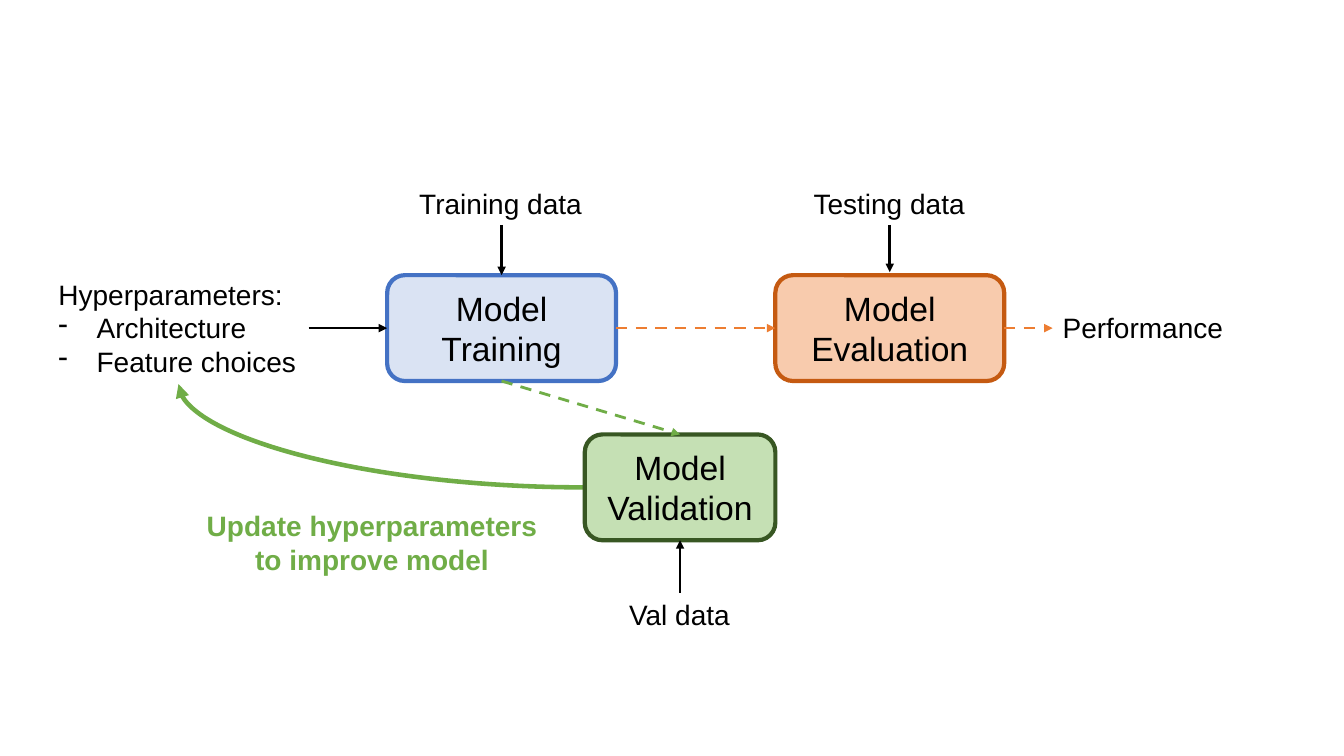
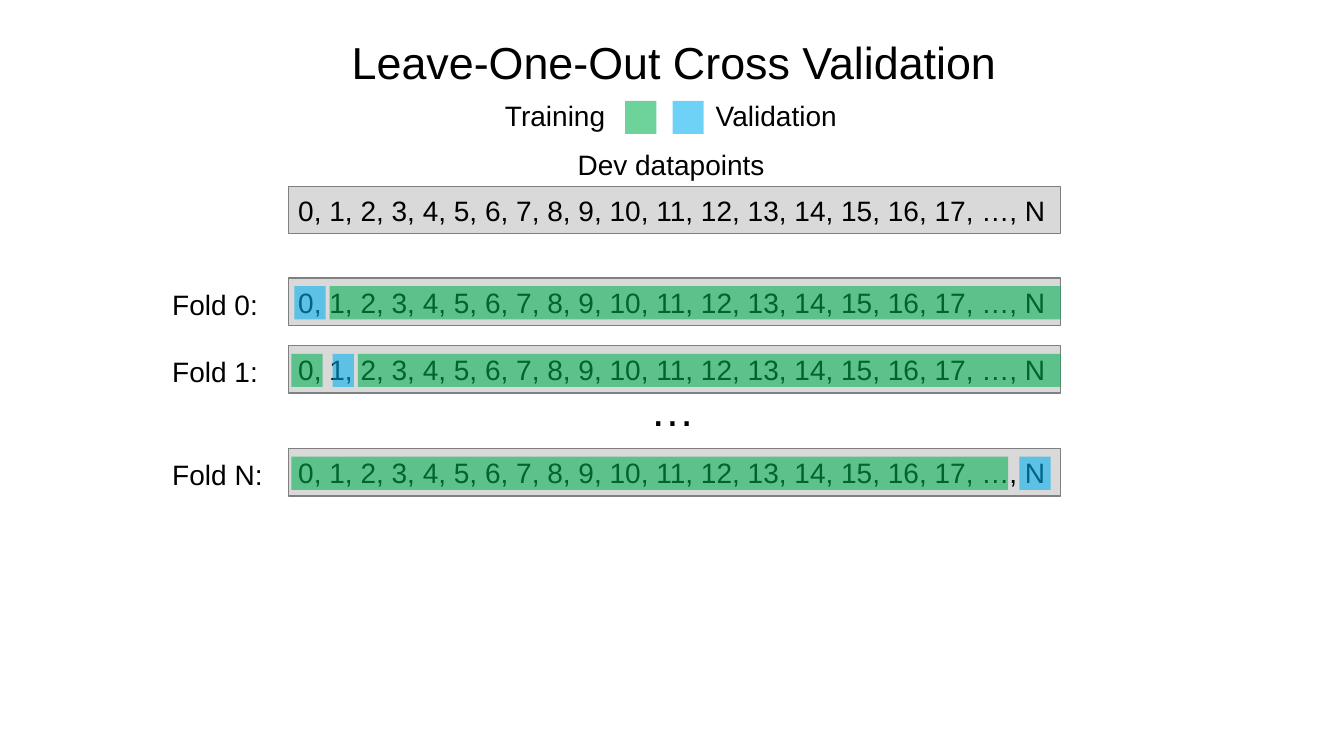
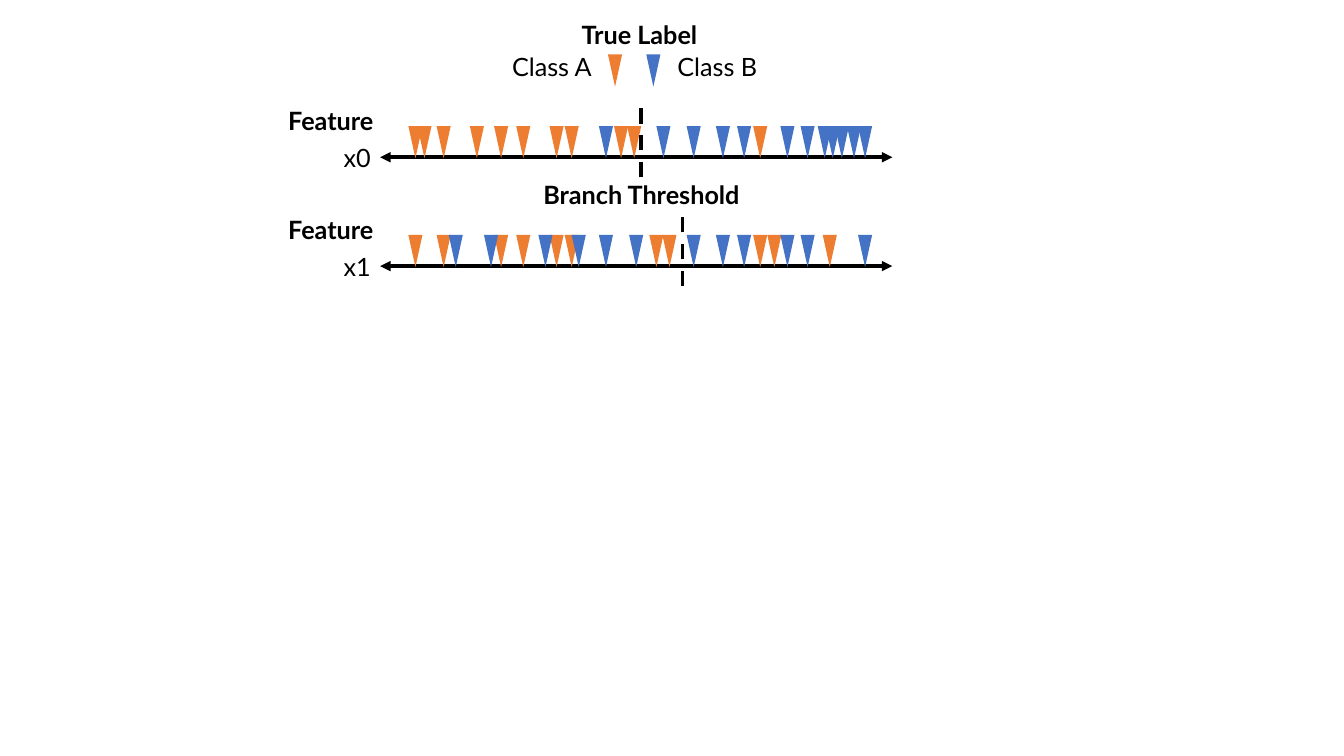
import dataclasses

import pptx
import pptx.dml.color
import pptx.enum.dml
import pptx.enum.shapes
import pptx.enum.text
import pptx.oxml.ns
import pptx.util
from lxml import etree

Inches = pptx.util.Inches
SHAPES = pptx.enum.shapes.MSO_SHAPE
CONNECTORS = pptx.enum.shapes.MSO_CONNECTOR
ALIGN = pptx.enum.text.PP_ALIGN


@dataclasses.dataclass(frozen=True)
class Theme:
    """Colours, fonts and type sizes of the deck."""
    font: str = "Arial"
    axis_font: str = "Lato"
    title_size: int = 32
    model_size: int = 24
    body_size: int = 20
    axis_size: int = 18
    black: str = "000000"
    orange: str = "ED7D31"
    blue: str = "4472C4"
    green: str = "70AD47"
    pale_blue: str = "DAE3F3"
    pale_orange: str = "F8CBAD"
    pale_green: str = "C5E0B4"
    dark_orange: str = "C55A11"
    dark_green: str = "385723"
    bar: str = "D9D9D9"
    bar_edge: str = "808080"
    training: str = "00B050"
    validation: str = "00B0F0"
    overlay_alpha: int = 57


THEME = Theme()


@dataclasses.dataclass(frozen=True)
class Box:
    """A rectangle in inches."""
    left: float
    top: float
    width: float
    height: float

    @property
    def right(self):
        """Return the right edge."""
        return self.left + self.width

    @property
    def bottom(self):
        """Return the bottom edge."""
        return self.top + self.height

    @property
    def center(self):
        """Return the horizontal centre."""
        return self.left + self.width / 2

    @property
    def middle(self):
        """Return the vertical centre."""
        return self.top + self.height / 2

    def place(self, left, top, width, height):
        """Return a box placed relative to this one."""
        return Box(self.left + left, self.top + top, width, height)

    def lengths(self):
        """Return the four measures as lengths."""
        return [Inches(value) for value in dataclasses.astuple(self)]


def rgb(color):
    """Return a colour object."""
    return pptx.dml.color.RGBColor.from_string(color)


def add_element(parent, tag, **attributes):
    """Append a drawing element."""
    return etree.SubElement(parent, pptx.oxml.ns.qn(tag), attributes)


def style_text(frame, size, color=THEME.black, font=THEME.font, bold=False, align=ALIGN.LEFT):
    """Format every run of a text frame."""
    for para in frame.paragraphs:
        para.alignment = align
        for span in para.runs:
            span.font.name = font
            span.font.size = pptx.util.Pt(size)
            span.font.bold = bold
            span.font.color.rgb = rgb(color)


def add_text(page, box, text, size=THEME.body_size, wrap=False, **style):
    """Add a text box that fits its text."""
    frame = page.shapes.add_textbox(*box.lengths()).text_frame
    frame.text = text
    frame.word_wrap = wrap
    frame.auto_size = pptx.enum.text.MSO_AUTO_SIZE.SHAPE_TO_FIT_TEXT
    style_text(frame, size, **style)
    return frame


def add_shape(page, kind, box, fill, edge=None, weight=1, alpha=None):
    """Add a filled shape, outlined or translucent if asked."""
    shape = page.shapes.add_shape(kind, *box.lengths())
    shape.shadow.inherit = False
    shape.fill.solid()
    shape.fill.fore_color.rgb = rgb(fill)
    if alpha:
        color = next(shape._element.spPr.iter(pptx.oxml.ns.qn("a:srgbClr")))
        add_element(color, "a:alpha", val=str(alpha * 1000))
    if edge:
        shape.line.color.rgb = rgb(edge)
        shape.line.width = pptx.util.Pt(weight)
    else:
        shape.line.fill.background()
    return shape


def add_line(page, start, end, color=THEME.black, weight=2, dashed=False,
             head=False, tail=True, kind=CONNECTORS.STRAIGHT):
    """Add a connector with optional arrowheads."""
    line = page.shapes.add_connector(kind, *(Inches(value) for value in (*start, *end)))
    line.line.color.rgb = rgb(color)
    line.line.width = pptx.util.Pt(weight)
    if dashed:
        line.line.dash_style = pptx.enum.dml.MSO_LINE.DASH
    properties = line._element.spPr
    outline = properties.find(pptx.oxml.ns.qn("a:ln"))
    for wanted, tag in ((head, "a:headEnd"), (tail, "a:tailEnd")):
        if wanted:
            add_element(outline, tag, type="triangle")
    add_element(properties, "a:effectLst")
    return line


def add_model(page, box, text, fill, edge):
    """Add a rounded model step."""
    shape = add_shape(page, SHAPES.ROUNDED_RECTANGLE, box, fill, edge, 3)
    frame = shape.text_frame
    frame.text = text
    frame.word_wrap = True
    frame.vertical_anchor = pptx.enum.text.MSO_ANCHOR.MIDDLE
    style_text(frame, THEME.model_size, align=ALIGN.CENTER)


def add_data_input(page, model, text, width, below=False, gap=0):
    """Add a data label above or below a model, with its arrow."""
    left = (model.width - width) / 2
    top = model.height + 0.52 if below else -0.93
    add_text(page, model.place(left, top, width, 0.44), text)
    if below:
        start, end = model.bottom + 0.52, model.bottom
    else:
        start, end = model.top - 0.5, model.top - gap
    add_line(page, (model.center, start), (model.center, end))


def add_hyperparameters(page, box):
    """Add the hyperparameter heading and its dashed list."""
    frame = add_text(page, box, "Hyperparameters:\nArchitecture\nFeature choices")
    for para in frame.paragraphs[1:]:
        properties = para._p.get_or_add_pPr()
        properties.set("marL", str(Inches(0.38)))
        properties.set("indent", str(-Inches(0.38)))
        add_element(properties, "a:buFontTx")
        add_element(properties, "a:buChar", char="-")


def add_feedback(page, start, end):
    """Add the curved arrow back to the hyperparameters."""
    curve = add_line(page, end, start, THEME.green, 3.25, kind=CONNECTORS.CURVE)
    properties = curve._element.spPr
    properties.find(pptx.oxml.ns.qn("a:prstGeom")).set("prst", "curvedConnector2")
    frame = properties.find(pptx.oxml.ns.qn("a:xfrm"))
    frame.attrib.pop("flipV", None)
    frame.set("rot", "10800000")


def draw_pipeline(page, area):
    """Draw the training, validation and evaluation loop."""
    training = area.place(3.36, 0.93, 2.27, 1.05)
    evaluation = area.place(7.21, 0.93, 2.27, 1.05)
    validation = area.place(5.32, 2.51, 1.89, 1.05)
    settings = area.place(0, 0.9, 2.58, 1.11)
    result = area.place(9.96, 1.23, 1.81, 0.44)
    add_model(page, training, "Model Training", THEME.pale_blue, THEME.blue)
    add_model(page, evaluation, "Model Evaluation", THEME.pale_orange, THEME.dark_orange)
    add_hyperparameters(page, settings)
    add_text(page, result, "Performance")
    add_data_input(page, training, "Training data", 1.83)
    add_data_input(page, evaluation, "Testing data", 1.71, gap=0.03)
    add_line(page, (settings.right, training.middle), (training.left, training.middle))
    for source, target in ((training, evaluation), (evaluation, result)):
        add_line(page, (source.right, training.middle), (target.left, training.middle),
                 THEME.orange, dashed=True)
    add_feedback(page, (validation.left, validation.middle), (settings.center, settings.bottom))
    add_text(page, area.place(1.4, 3.2, 3.62, 0.77), "Update hyperparameters to improve model",
             wrap=True, color=THEME.green, bold=True, align=ALIGN.CENTER)
    add_model(page, validation, "Model Validation", THEME.pale_green, THEME.dark_green)
    add_line(page, (training.center, training.bottom), (validation.center, validation.top),
             THEME.green, dashed=True)
    add_data_input(page, validation, "Val data", 1.21, below=True)


def add_overlay(page, box, color):
    """Add a translucent highlight."""
    add_shape(page, SHAPES.RECTANGLE, box, color, alpha=THEME.overlay_alpha)


def add_datapoints(page, box):
    """Add the grey bar of numbered datapoints."""
    frame = add_shape(page, SHAPES.RECTANGLE, box, THEME.bar, THEME.bar_edge).text_frame
    frame.text = ", ".join([*map(str, range(18)), "…", "N"])
    frame.word_wrap = True
    frame.vertical_anchor = pptx.enum.text.MSO_ANCHOR.MIDDLE
    style_text(frame, THEME.body_size)


def add_fold(page, bar, name, label_width, highlights):
    """Add a named fold with its highlighted parts."""
    add_datapoints(page, bar)
    add_text(page, bar.place(-1.25, 0.04, label_width, 0.44), f"Fold {name}:")
    for left, width, color in highlights:
        add_overlay(page, bar.place(left, 0.08, width, 0.33), color)


def draw_cross_validation(page, area):
    """Draw the leave-one-out folds under their legend."""
    training, validation = THEME.training, THEME.validation
    add_text(page, area.place(0.53, 0, 6.6, 0.64), "Leave-One-Out Cross Validation", THEME.title_size)
    add_text(page, area.place(2.05, 0.63, 1.21, 0.44), "Training")
    add_overlay(page, area.place(3.34, 0.7, 0.31, 0.33), training)
    add_overlay(page, area.place(3.81, 0.7, 0.31, 0.33), validation)
    add_text(page, area.place(4.14, 0.63, 1.42, 0.44), "Validation")
    add_text(page, area.place(2.77, 1.11, 2.07, 0.44), "Dev datapoints")
    add_datapoints(page, area.place(0, 1.55, area.width, 0.47))
    folds = (
        ("0", 2.46, 1.06, ((0.06, 0.31, validation), (0.41, 7.25, training))),
        ("1", 3.13, 1.06, ((0.44, 0.21, validation), (0.69, 6.97, training), (0.03, 0.31, training))),
        ("N", 4.15, 1.11, ((7.25, 0.31, validation), (0.03, 7.11, training))),
    )
    for name, top, label_width, highlights in folds:
        add_fold(page, area.place(0, top, area.width, 0.47), name, label_width, highlights)
    add_text(page, area.place(3.49, 3.44, 0.65, 0.64), "…", THEME.title_size)


def add_axis_text(page, box, text, bold=False):
    """Add a label in the axis typeface."""
    add_text(page, box, text, THEME.axis_size, font=THEME.axis_font, bold=bold)


def add_marker(page, center, top, color):
    """Add a downward marker."""
    marker = add_shape(page, SHAPES.ISOSCELES_TRIANGLE, Box(center - 0.07, top, 0.14, 0.32), color)
    marker.rotation = 180


def add_feature(page, axis, name, threshold, class_a, class_b):
    """Add one feature axis with its markers and branch threshold."""
    add_line(page, (axis.left, axis.top), (axis.right, axis.top), weight=2.5, head=True)
    for positions, color in ((class_a, THEME.orange), (class_b, THEME.blue)):
        for position in positions:
            add_marker(page, axis.left + position, axis.top - 0.31, color)
    add_axis_text(page, axis.place(-1.01, -0.56, 1.07, 0.4), "Feature", bold=True)
    add_axis_text(page, axis.place(-0.46, -0.2, 0.48, 0.4), name)
    middle = axis.left + threshold
    add_line(page, (middle, axis.top + 0.2), (middle, axis.top - 0.57),
             weight=2.75, dashed=True, tail=False)


def draw_features(page, area):
    """Draw the class legend and both feature axes."""
    add_axis_text(page, area.place(1.9, 0, 1.39, 0.4), "True Label", bold=True)
    add_axis_text(page, area.place(1.21, 0.32, 1.01, 0.4), "Class A")
    add_marker(page, area.left + 2.33, area.top + 0.4, THEME.orange)
    add_marker(page, area.left + 2.71, area.top + 0.4, THEME.blue)
    add_axis_text(page, area.place(2.85, 0.32, 1, 0.4), "Class B")
    add_feature(page, area.place(0, 1.42, area.width, 0), "x0", 2.59,
                (0.35, 0.44, 0.63, 0.96, 1.2, 1.42, 1.75, 1.9, 2.39, 2.52, 3.77),
                (2.24, 2.81, 3.11, 3.4, 3.61, 4.04, 4.24, 4.41, 4.49, 4.58, 4.7, 4.81))
    add_axis_text(page, area.place(1.52, 1.59, 2.18, 0.4), "Branch Threshold", bold=True)
    add_feature(page, area.place(0, 2.5, area.width, 0), "x1", 3,
                (0.35, 0.63, 1.2, 1.42, 1.75, 1.9, 2.74, 2.87, 3.77, 3.91, 4.46),
                (0.75, 1.1, 1.64, 1.97, 2.24, 2.54, 3.11, 3.4, 3.61, 4.04, 4.24, 4.81))


def main():
    """Build and save the deck."""
    deck = pptx.Presentation()
    deck.slide_width, deck.slide_height = Inches(13.33), Inches(7.5)
    pages = (
        (draw_pipeline, Box(0.48, 1.8, 11.77, 4.52)),
        (draw_cross_validation, Box(2.86, 0.3, 7.66, 4.62)),
        (draw_features, Box(3.77, 0.14, 5.08, 2.7)),
    )
    for draw, area in pages:
        draw(deck.slides.add_slide(deck.slide_layouts[6]), area)
    deck.save("out.pptx")


if __name__ == "__main__":
    main()
